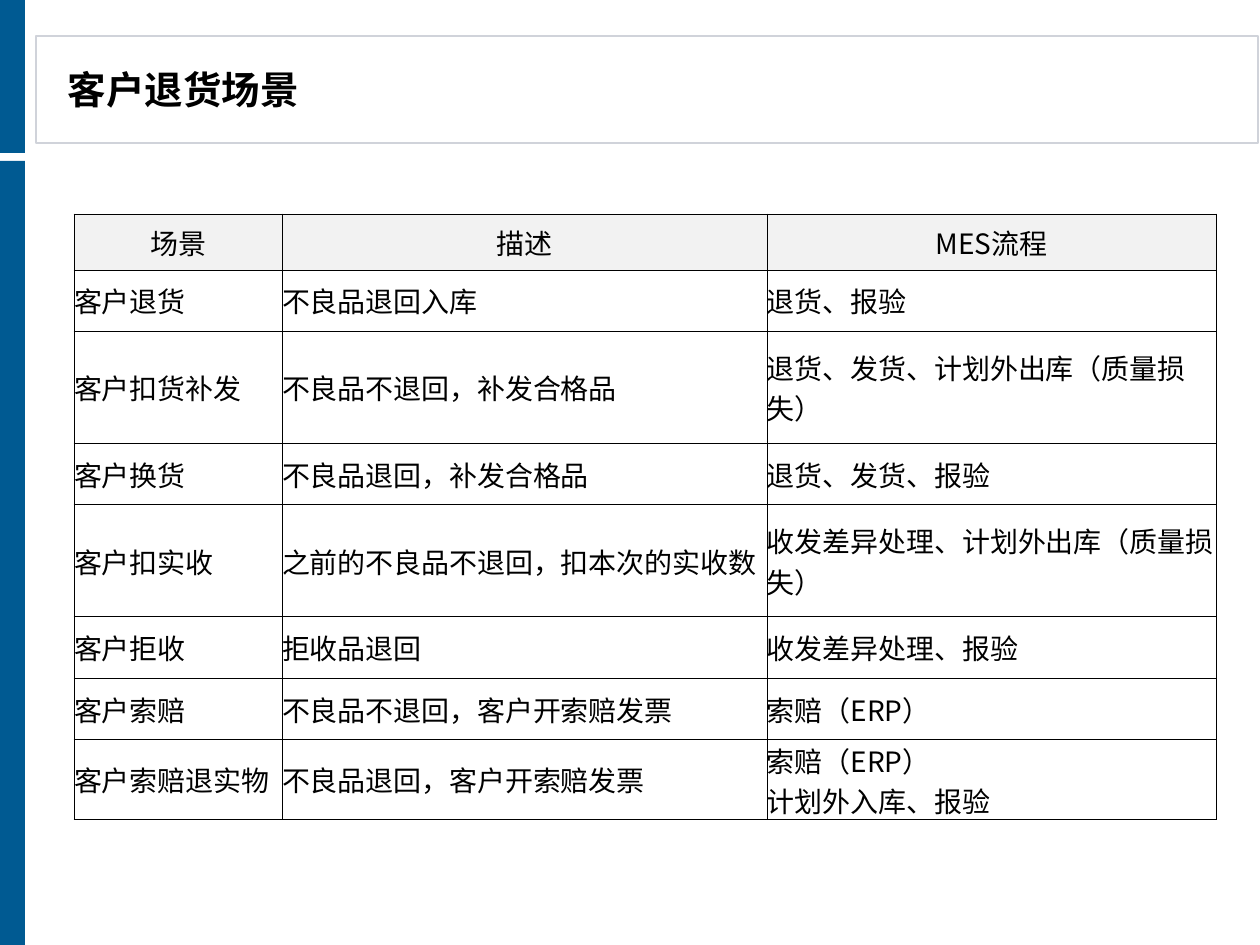
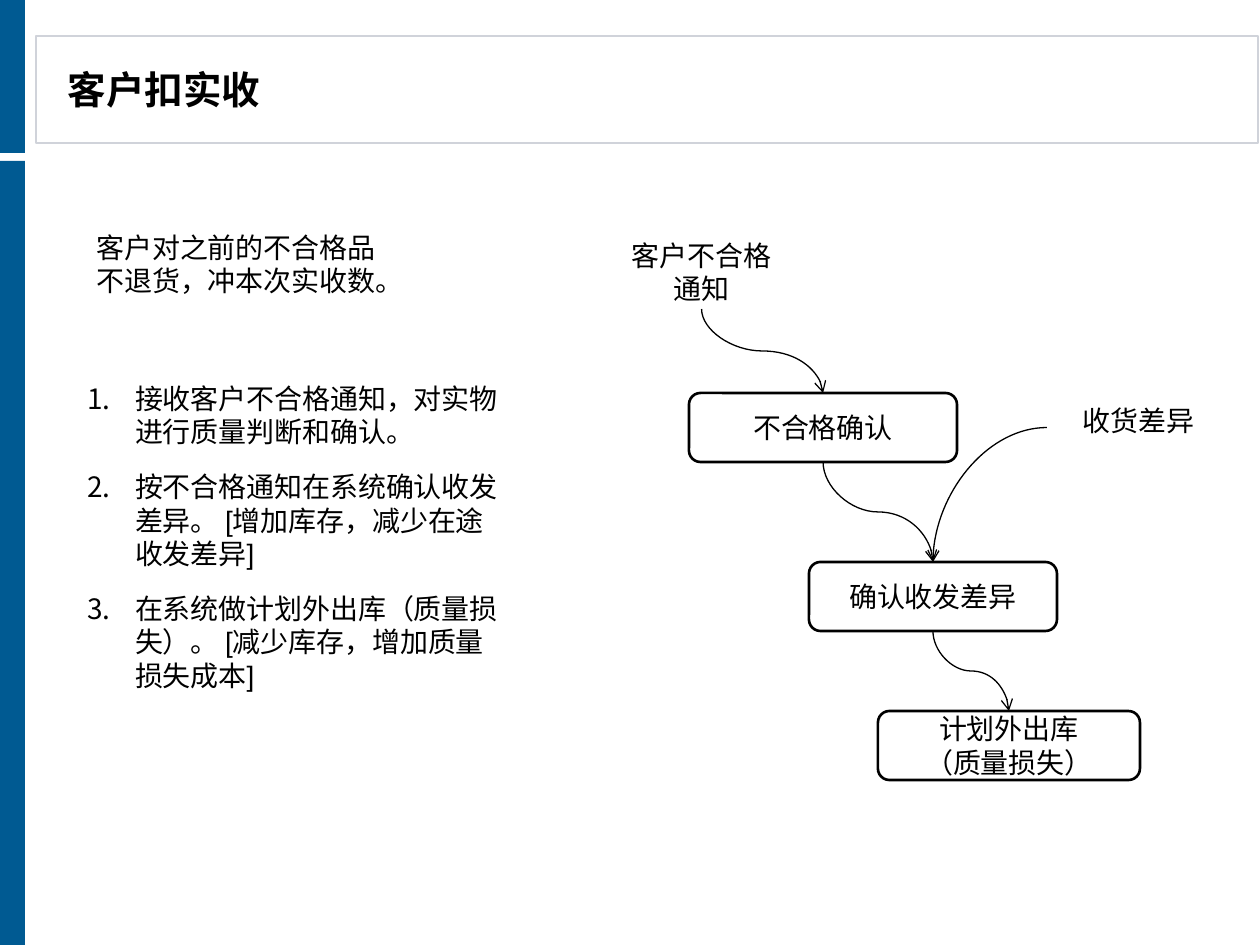
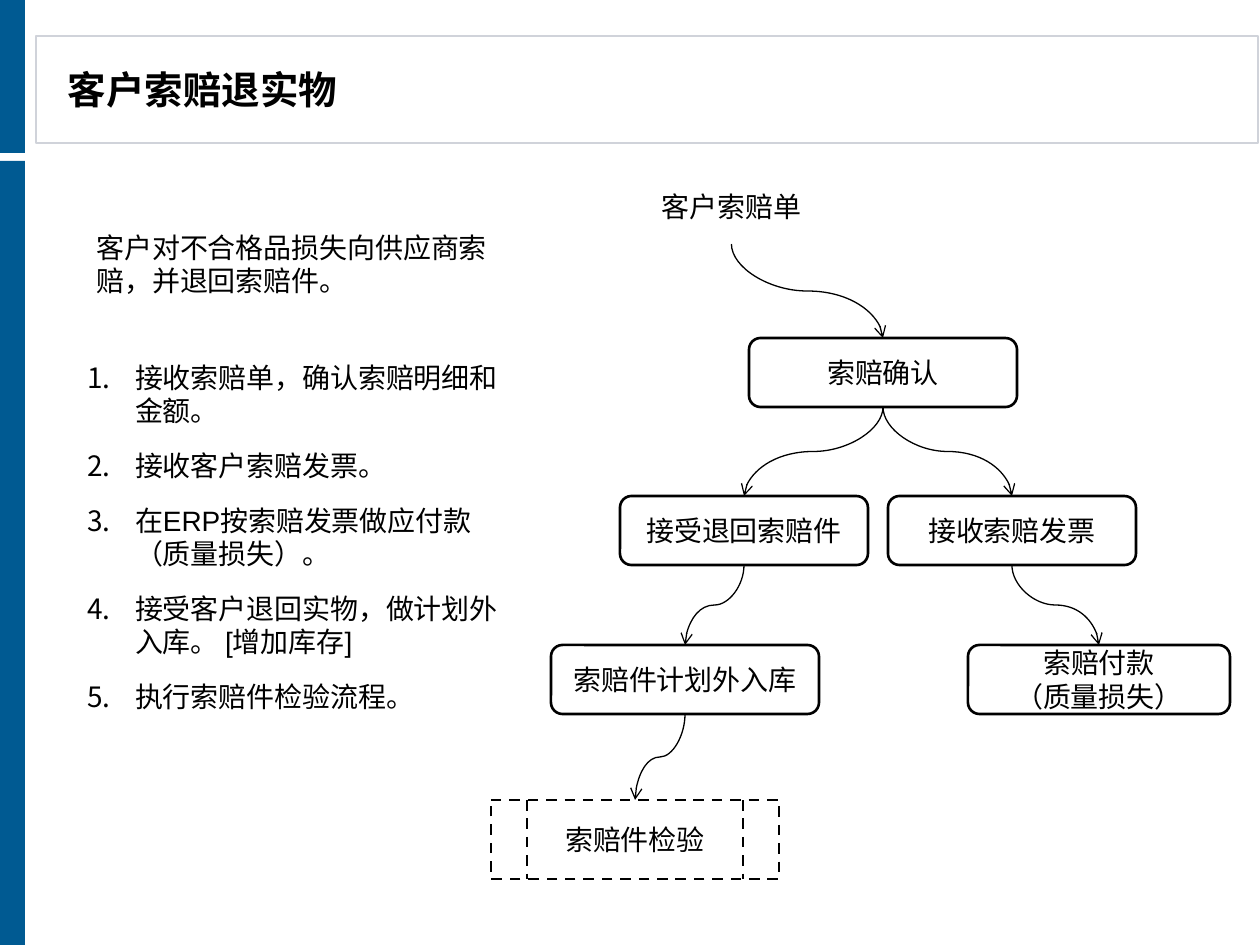
from lxml.etree import SubElement
from pptx import Presentation
from pptx.dml.color import RGBColor
from pptx.enum.dml import MSO_LINE
from pptx.enum.shapes import MSO_CONNECTOR, MSO_SHAPE
from pptx.enum.text import MSO_ANCHOR, PP_ALIGN
from pptx.oxml.ns import qn
from pptx.util import Emu, Pt

COLORS = {"ink": "000000", "paper": "FFFFFF", "band": "005A92",
          "frame": "D0D3DA", "header": "F2F2F2"}
LATIN, CJK = "Arial", "Noto Sans CJK SC"
BODY_SIZE, TITLE_SIZE = 16, 22
PIXELS_PER_INCH = 126
INSET = 13
NODE_HEIGHT = 69
LABEL_SIZE = (183, NODE_HEIGHT)


def px(value):
    return Emu(round(value * 914400 / PIXELS_PER_INCH))


def color(name):
    return RGBColor.from_string(COLORS[name])


def write(frame, lines, size=BODY_SIZE, bold=False, align=PP_ALIGN.LEFT,
          font=LATIN, spacing=0):
    """Fill a text frame, one paragraph for each line."""
    frame.word_wrap = True
    for index, line in enumerate(lines):
        paragraph = frame.add_paragraph() if index else frame.paragraphs[0]
        paragraph.alignment = align
        paragraph.space_before = paragraph.space_after = Pt(spacing)
        run = paragraph.add_run()
        run.text = line
        run.font.name, run.font.size, run.font.bold = font, Pt(size), bold
        run.font.color.rgb = color("ink")


def set_insets(frame, horizontal, vertical):
    frame.margin_left = frame.margin_right = px(horizontal)
    frame.margin_top = frame.margin_bottom = px(vertical)


def add_box(slide, kind, box, fill="paper", line=None, width=1.5):
    shape = slide.shapes.add_shape(kind, *map(px, box))
    shape.shadow.inherit = False
    shape.fill.solid()
    shape.fill.fore_color.rgb = color(fill)
    if line:
        shape.line.color.rgb = color(line)
        shape.line.width = Pt(width)
    else:
        shape.line.fill.background()
    set_insets(shape.text_frame, INSET, 0)
    shape.text_frame.vertical_anchor = MSO_ANCHOR.MIDDLE
    return shape


def add_titled_slide(presentation, title):
    """Blank slide with the title frame, the side bands and a title."""
    slide = presentation.slides.add_slide(presentation.slide_layouts[6])
    add_box(slide, MSO_SHAPE.RECTANGLE, (36, 36, 1222, 107), line="frame", width=0.75)
    for top, bottom in ((161, 945), (0, 153)):
        add_box(slide, MSO_SHAPE.RECTANGLE, (0, top, 25, bottom - top), "band")
    title_box = slide.shapes.add_textbox(*map(px, (55, 39, 794, 100)))
    set_insets(title_box.text_frame, INSET, 0)
    title_box.text_frame.vertical_anchor = MSO_ANCHOR.MIDDLE
    write(title_box.text_frame, [title], TITLE_SIZE, bold=True)
    return slide


# Scenario table
def set_cell_borders(cell):
    properties = cell._tc.get_or_add_tcPr()
    for position, side in enumerate(("a:lnL", "a:lnR", "a:lnT", "a:lnB")):
        line = properties.makeelement(qn(side), {"w": str(Pt(0.5))})
        fill = SubElement(line, qn("a:solidFill"))
        SubElement(fill, qn("a:srgbClr"), val=COLORS["ink"])
        properties.insert(position, line)


def add_scenario_table(slide, left, top, widths, heights, rows):
    table = slide.shapes.add_table(
        len(rows), len(widths),
        *map(px, (left, top, sum(widths), sum(heights)))).table
    table.first_row = table.horz_banding = False
    for column, width in zip(table.columns, widths):
        column.width = px(width)
    for row_index, (row, height, texts) in enumerate(zip(table.rows, heights, rows)):
        row.height = px(height)
        for cell, text in zip(row.cells, texts):
            set_insets(cell, 0, 0)
            cell.vertical_anchor = MSO_ANCHOR.MIDDLE
            cell.fill.solid()
            cell.fill.fore_color.rgb = color("paper" if row_index else "header")
            align = PP_ALIGN.LEFT if row_index else PP_ALIGN.CENTER
            write(cell.text_frame, text.split("\n"), align=align, font=CJK)
            set_cell_borders(cell)


# Explanation on the left
def add_explanation(slide, box, intro, intro_width, steps):
    left, top, width, height = box
    steps_top = top + 130
    step_box = add_box(slide, MSO_SHAPE.FLOWCHART_DOCUMENT,
                       (left, steps_top, width, height - 130))
    write(step_box.text_frame, steps, spacing=6)
    for paragraph in step_box.text_frame.paragraphs:
        properties = paragraph._p.get_or_add_pPr()
        properties.set("marL", str(px(48)))
        properties.set("indent", str(px(-48)))
        SubElement(properties, qn("a:buFont"), typeface=CJK)
        SubElement(properties, qn("a:buAutoNum"), type="arabicPeriod")
    intro_box = slide.shapes.add_textbox(*map(px, (left + 10, top, intro_width, 81)))
    write(intro_box.text_frame, [intro], spacing=6)


# Flow chart on the right
def style_arrow(connector):
    connector.line.color.rgb = color("ink")
    connector.line.width = Pt(0.75)
    line = connector.line._get_or_add_ln()
    SubElement(line, qn("a:tailEnd"), type="arrow")
    SubElement(connector.element.spPr, qn("a:effectLst"))


def add_down_curve(slide, start, end):
    """S-curve that leaves and arrives vertically: a turned connector."""
    (x1, y1), (x2, y2) = start, end
    length, spread = y2 - y1, abs(x2 - x1)
    left, top = (x1 + x2 - length) / 2, (y1 + y2 - spread) / 2
    ends = (left + length, left) if x2 > x1 else (left, left + length)
    connector = slide.shapes.add_connector(
        MSO_CONNECTOR.CURVE, px(ends[0]), px(top), px(ends[1]), px(top + spread))
    quarter_turns = 3 if x2 > x1 else 1
    connector.element.spPr.find(qn("a:xfrm")).set("rot", str(quarter_turns * 5400000))
    style_arrow(connector)


def add_side_curve(slide, start, end):
    """Quarter curve that leaves sideways and arrives from above."""
    connector = slide.shapes.add_connector(MSO_CONNECTOR.CURVE, *map(px, start + end))
    connector.element.spPr.find(qn("a:prstGeom")).set("prst", "curvedConnector2")
    style_arrow(connector)


def add_node(slide, kind, box, text):
    if kind == "label":
        shape = add_box(slide, MSO_SHAPE.FLOWCHART_DOCUMENT, box)
    elif kind == "subprocess":
        shape = add_box(slide, MSO_SHAPE.FLOWCHART_PREDEFINED_PROCESS, box, line="ink")
        shape.line.dash_style = MSO_LINE.DASH
    else:
        shape = add_box(slide, MSO_SHAPE.ROUNDED_RECTANGLE, box, line="ink")
    write(shape.text_frame, text.split("\n"), align=PP_ALIGN.CENTER)


def add_flow(slide, origin, nodes, links, side_links=()):
    """Nodes are name: (kind, left, top, width, height, text), from the origin."""
    boxes = {}
    for name, (kind, left, top, width, height, text) in nodes.items():
        boxes[name] = (origin[0] + left, origin[1] + top, width, height)
        add_node(slide, kind, boxes[name], text)

    def top_of(name):
        left, top, width, _ = boxes[name]
        return left + width / 2, top

    def bottom_of(name):
        left, top, width, height = boxes[name]
        # The outline of a label ends a little above its box
        depth = height - 4 if nodes[name][0] == "label" else height
        return left + width / 2, top + depth

    for source, target in links:
        add_down_curve(slide, bottom_of(source), top_of(target))
    for source, target in side_links:
        left, top, _, height = boxes[source]
        add_side_curve(slide, (left, top + height / 2), top_of(target))


def build_scenarios(presentation):
    slide = add_titled_slide(presentation, "客户退货场景")
    add_scenario_table(
        slide, 74, 214, (208, 485, 449), (56, 61, 113, 61, 112, 62, 61, 80),
        [("场景", "描述", "MES流程"),
         ("客户退货", "不良品退回入库", "退货、报验"),
         ("客户扣货补发", "不良品不退回，补发合格品", "退货、发货、计划外出库（质量损失）"),
         ("客户换货", "不良品退回，补发合格品", "退货、发货、报验"),
         ("客户扣实收", "之前的不良品不退回，扣本次的实收数",
          "收发差异处理、计划外出库（质量损失）"),
         ("客户拒收", "拒收品退回", "收发差异处理、报验"),
         ("客户索赔", "不良品不退回，客户开索赔发票", "索赔（ERP）"),
         ("客户索赔退实物", "不良品退回，客户开索赔发票", "索赔（ERP）\n计划外入库、报验")])


EXPLANATION_BOX = (74, 224, 446, 586)


def build_deduction(presentation):
    slide = add_titled_slide(presentation, "客户扣实收")
    add_explanation(
        slide, EXPLANATION_BOX, "客户对之前的不合格品不退货，冲本次实收数。", 315,
        ["接收客户不合格通知，对实物进行质量判断和确认。",
         "按不合格通知在系统确认收发差异。 [增加库存，减少在途收发差异]",
         "在系统做计划外出库（质量损失）。 [减少库存，增加质量损失成本]"])
    add_flow(
        slide, (610, 244),
        {"notice": ("label", 0, 0, *LABEL_SIZE, "客户不合格通知"),
         "check": ("step", 79, 149, 268, NODE_HEIGHT, "不合格确认"),
         "gap": ("label", 437, 149, *LABEL_SIZE, "收货差异"),
         "confirm": ("step", 199, 318, 248, NODE_HEIGHT, "确认收发差异"),
         "issue": ("step", 268, 467, 262, NODE_HEIGHT, "计划外出库\n（质量损失）")},
        [("notice", "check"), ("check", "confirm"), ("confirm", "issue")],
        [("gap", "confirm")])


def build_claim(presentation):
    slide = add_titled_slide(presentation, "客户索赔退实物")
    add_explanation(
        slide, EXPLANATION_BOX, "客户对不合格品损失向供应商索赔，并退回索赔件。", 436,
        ["接收索赔单，确认索赔明细和金额。",
         "接收客户索赔发票。",
         "在ERP按索赔发票做应付款（质量损失）。",
         "接受客户退回实物，做计划外入库。 [增加库存]",
         "执行索赔件检验流程。"])
    add_flow(
        slide, (491, 179),
        {"claim": ("label", 149, 0, *LABEL_SIZE, "客户索赔单"),
         "confirm": ("step", 258, 159, 268, NODE_HEIGHT, "索赔确认"),
         "returned": ("step", 129, 317, 248, NODE_HEIGHT, "接受退回索赔件"),
         "invoice": ("step", 397, 317, 248, NODE_HEIGHT, "接收索赔发票"),
         "receipt": ("step", 60, 466, 268, NODE_HEIGHT, "索赔件计划外入库"),
         "payment": ("step", 477, 466, 262, NODE_HEIGHT, "索赔付款\n（质量损失）"),
         "inspection": ("subprocess", 0, 621, 288, 79, "索赔件检验")},
        [("claim", "confirm"), ("confirm", "returned"), ("confirm", "invoice"),
         ("returned", "receipt"), ("invoice", "payment"), ("receipt", "inspection")])


presentation = Presentation()
presentation.slide_width, presentation.slide_height = px(1260), px(945)
for build in (build_scenarios, build_deduction, build_claim):
    build(presentation)
presentation.save("out.pptx")
